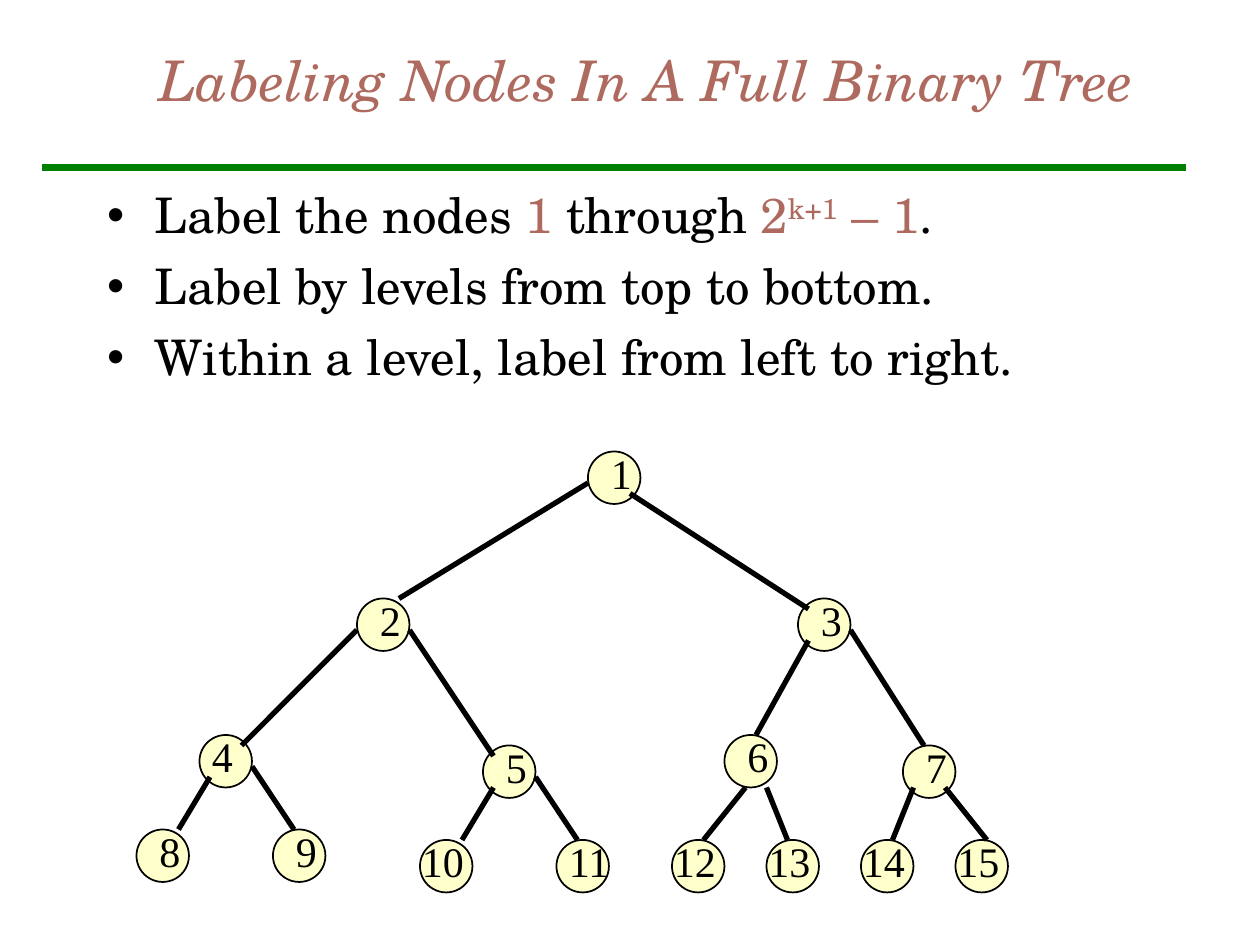
import dataclasses

import lxml.etree
import pptx
import pptx.dml.color
import pptx.enum.shapes
import pptx.enum.text
import pptx.oxml.ns
import pptx.util


@dataclasses.dataclass(frozen=True)
class Theme:
    accent: str = "AF6A5F"
    ink: str = "000000"
    rule: str = "008000"
    node: str = "FFFFCC"
    text_font: str = "TeX Gyre Schola"
    label_font: str = "Times New Roman"
    title_size: int = 32
    body_size: int = 28
    label_size: int = 24


THEME = Theme()
NODE_SIZE = 5  # grid units

# Node number: column and row of its top left corner
NODES = {
    1: (56, 43),
    2: (34, 57), 3: (76, 57),
    4: (19, 70), 5: (46, 71), 6: (69, 70), 7: (86, 71),
    8: (13, 79), 9: (26, 79), 10: (40, 80), 11: (53, 80),
    12: (64, 80), 13: (73, 80), 14: (82, 80), 15: (91, 80),
}

# Child number: where the branch leaves its parent and where it ends
BRANCHES = {
    2: ((56, 46), (38, 57)), 3: ((60, 47), (77, 58)),
    4: ((34, 60), (23, 71)), 5: ((39, 60), (47, 72)),
    6: ((77, 61), (72, 70)), 7: ((81, 60), (88, 71)),
    8: ((20, 74), (17, 79)), 9: ((24, 73), (28, 79)),
    10: ((47, 75), (44, 80)), 11: ((51, 74), (55, 80)),
    12: ((71, 75), (67, 80)), 13: ((73, 75), (75, 80)),
    14: ((87, 75), (85, 80)), 15: ((90, 75), (94, 80)),
}

# Labels that sit off the usual column shift
LABEL_SHIFTS = {4: 0, 11: 0}

# Bulleted lines as (text, style) pieces
POINTS = [
    [("Label the nodes ", ""), ("1", "accent"), (" through ", ""),
     ("2", "accent"), ("k+1", "accent superscript"), (" – 1", "accent"), (".", "")],
    [("Label by levels from top to bottom.", "")],
    [("Within a level, label from left to right.", "")],
]


def grid(units):
    """Length on a grid of twelve units to the inch."""
    return pptx.util.Inches(units / 12)


def rgb(value):
    return pptx.dml.color.RGBColor.from_string(value)


def style_run(run, font, size, color, italic=None):
    run.font.name = font
    run.font.size = pptx.util.Pt(size)
    run.font.color.rgb = rgb(color)
    run.font.italic = italic


def place(shape, left, top, width, height):
    shape.left, shape.top = grid(left), grid(top)
    shape.width, shape.height = grid(width), grid(height)


def add_bullet(paragraph):
    properties = paragraph._p.get_or_add_pPr()
    properties.set("marL", str(pptx.util.Inches(0.38)))
    properties.set("indent", str(pptx.util.Inches(-0.38)))
    qn = pptx.oxml.ns.qn
    color = lxml.etree.SubElement(properties, qn("a:buClr"))
    lxml.etree.SubElement(color, qn("a:srgbClr"), val=THEME.ink)
    lxml.etree.SubElement(properties, qn("a:buChar"), char="•")


def fill_title(title):
    place(title, 14, 0, 112, 15)
    title.text_frame.text = "Labeling Nodes In A Full Binary Tree"
    title.text_frame.auto_size = pptx.enum.text.MSO_AUTO_SIZE.NONE
    title.text_frame.vertical_anchor = pptx.enum.text.MSO_ANCHOR.MIDDLE
    heading = title.text_frame.paragraphs[0]
    heading.alignment = pptx.enum.text.PP_ALIGN.LEFT
    style_run(heading.runs[0], THEME.text_font, THEME.title_size, THEME.accent, True)


def fill_points(body):
    place(body, 9, 17, 102, 24)
    frame = body.text_frame
    frame.auto_size = pptx.enum.text.MSO_AUTO_SIZE.NONE
    for index, pieces in enumerate(POINTS):
        point = frame.add_paragraph() if index else frame.paragraphs[0]
        point.space_before = pptx.util.Pt(7 if index else 0)
        add_bullet(point)
        for text, style in pieces:
            run = point.add_run()
            run.text = text
            color = THEME.accent if "accent" in style else THEME.ink
            style_run(run, THEME.text_font, THEME.body_size, color)
            if "superscript" in style:
                run.font._element.set("baseline", "30000")


def add_line(shapes, start, end, color, width):
    line = shapes.add_connector(
        pptx.enum.shapes.MSO_CONNECTOR.STRAIGHT, *map(grid, start + end))
    line.line.color.rgb = rgb(color)
    line.line.width = pptx.util.Pt(width)
    lxml.etree.SubElement(line._element.spPr, pptx.oxml.ns.qn("a:effectLst"))


def add_node(shapes, column, row):
    node = shapes.add_shape(
        pptx.enum.shapes.MSO_SHAPE.OVAL,
        *map(grid, (column, row, NODE_SIZE, NODE_SIZE)))
    node.shadow.inherit = False
    node.fill.solid()
    node.fill.fore_color.rgb = rgb(THEME.node)
    node.line.color.rgb = rgb(THEME.ink)
    node.line.width = pptx.util.Pt(1)


def add_label(shapes, number, column, row):
    digits = len(str(number))
    shift = LABEL_SHIFTS.get(number, 1 if digits == 1 else -1)
    label = shapes.add_textbox(
        *map(grid, (column + shift, row - 1, 4 * digits, 6)))
    label.text_frame.word_wrap = True
    label.text_frame.text = str(number)
    style_run(label.text_frame.paragraphs[0].runs[0],
              THEME.label_font, THEME.label_size, THEME.ink)


def add_tree(shapes):
    drawing = shapes.add_group_shape().shapes
    for corner in NODES.values():
        add_node(drawing, *corner)
    for start, end in BRANCHES.values():
        add_line(drawing, start, end, THEME.ink, 3)
    for number, corner in NODES.items():
        add_label(shapes, number, *corner)


def main():
    deck = pptx.Presentation()
    deck.slide_width, deck.slide_height = grid(120), grid(90)
    slide = deck.slides.add_slide(deck.slide_layouts[1])

    # Heading, rule and list
    fill_title(slide.shapes.title)
    add_line(slide.shapes, (4, 16), (113, 16), THEME.rule, 4)
    fill_points(slide.placeholders[1])

    # Numbered binary tree
    add_tree(slide.shapes)
    deck.save("out.pptx")


if __name__ == "__main__":
    main()
